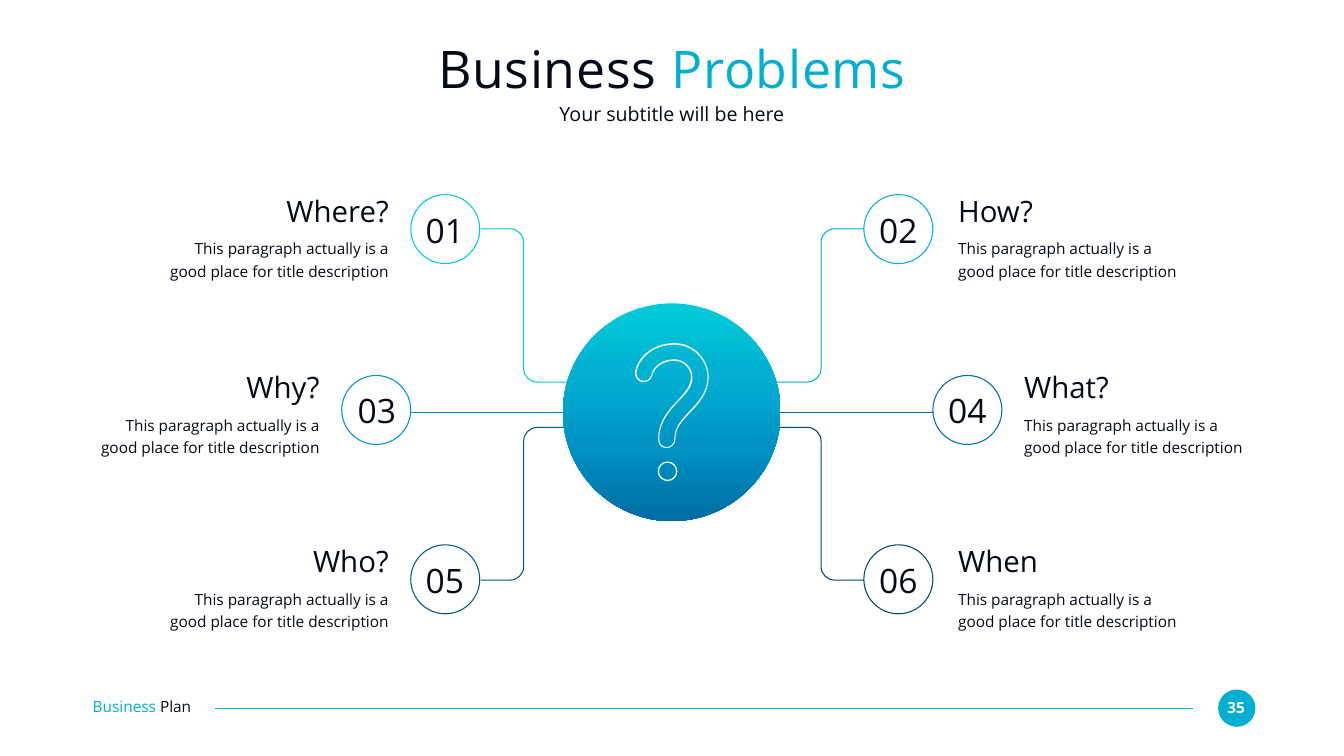
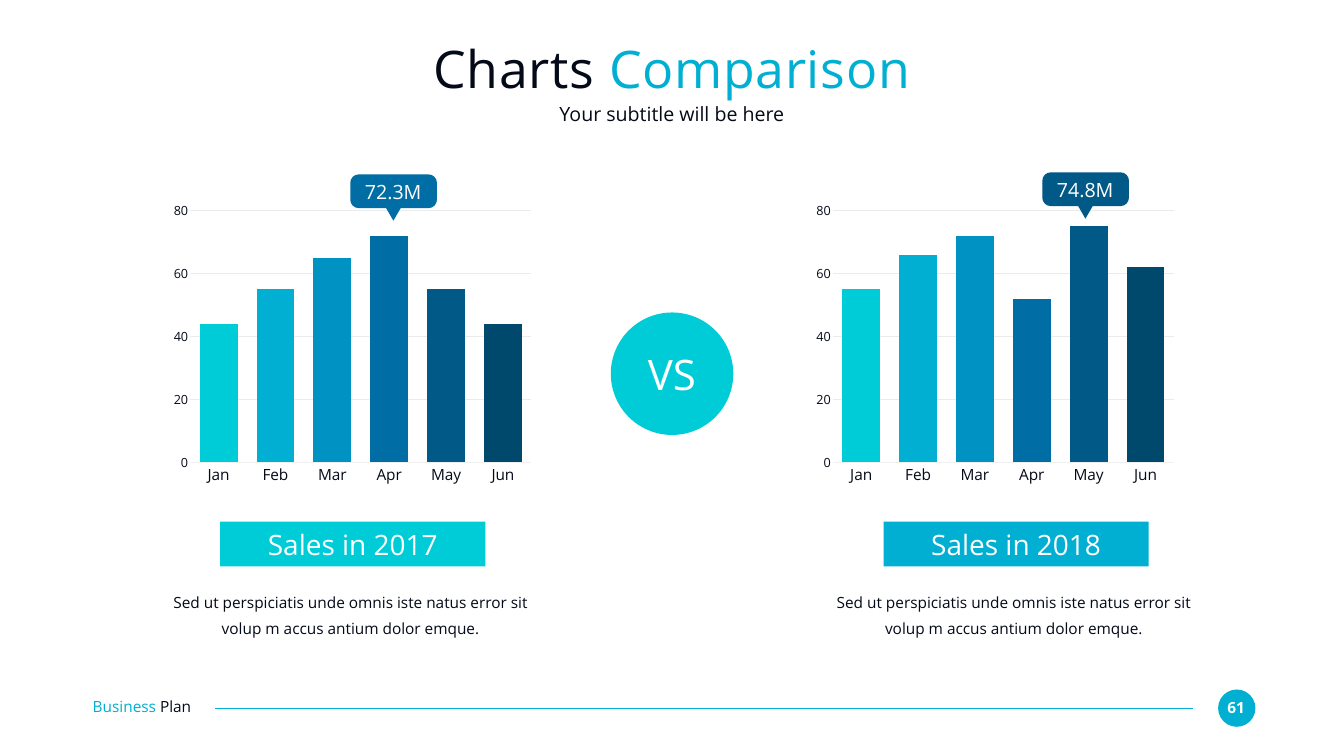
from lxml import etree
from pptx import Presentation
from pptx.chart.data import CategoryChartData
from pptx.dml.color import RGBColor
from pptx.enum import chart as charts, shapes, text
from pptx.oxml import ns
from pptx.util import Pt

INK = RGBColor(0x05, 0x0A, 0x19)
WHITE = RGBColor(0xFF, 0xFF, 0xFF)
AQUA = RGBColor(0x00, 0xCC, 0xD7)
CYAN = RGBColor(0x00, 0xAF, 0xD2)
AZURE = RGBColor(0x00, 0x92, 0xC3)
BLUE = RGBColor(0x00, 0x6D, 0xA4)
NAVY = RGBColor(0x00, 0x59, 0x86)
DEEP = RGBColor(0x00, 0x48, 0x6C)
GRID = RGBColor(0xEB, 0xEB, 0xEB)
AXIS = RGBColor(0xF0, 0xF0, 0xF0)
SHADES = [AQUA, CYAN, AZURE, BLUE, NAVY, DEEP]

LEFT, CENTER, RIGHT = text.PP_ALIGN.LEFT, text.PP_ALIGN.CENTER, text.PP_ALIGN.RIGHT
OVAL, RECT = shapes.MSO_SHAPE.OVAL, shapes.MSO_SHAPE.RECTANGLE
MIRROR = 1921

HOOK_OUTSIDE = [
    (85, 2), (53, 0, 13, 16, 2, 57), (0, 67, 6, 76, 15, 79), (19, 80, 24, 79, 28, 77),
    (32, 74, 35, 71, 36, 66), (42, 44, 64, 36, 83, 37), (100, 38, 113, 53, 113, 69),
    (113, 86, 103, 97, 87, 115), (69, 134, 48, 156, 48, 192), (48, 194),
    (48, 203, 55, 210, 65, 210), (74, 210, 82, 202, 82, 192), (82, 170, 96, 155, 112, 139),
    (129, 121, 148, 100, 148, 69), (148, 35, 120, 4, 85, 2),
]
HOOK_INSIDE = [
    (110, 137), (94, 154, 80, 169, 80, 192), (80, 201, 73, 208, 65, 208),
    (57, 208, 50, 202, 50, 194), (50, 192), (50, 157, 71, 136, 89, 116),
    (106, 99, 116, 87, 116, 69), (116, 51, 101, 36, 83, 34), (81, 34, 80, 34, 79, 34),
    (60, 34, 39, 44, 34, 66), (33, 69, 30, 73, 27, 75), (23, 76, 19, 77, 16, 76),
    (8, 74, 3, 66, 5, 58), (15, 18, 54, 3, 85, 5), (118, 7, 146, 36, 146, 69),
    (146, 99, 127, 119, 110, 137),
]


def ring(x, y, r):
    c = r * 0.55
    return [(x, y - r), (x - c, y - r, x - r, y - c, x - r, y),
            (x - r, y + c, x - c, y + r, x, y + r),
            (x + c, y + r, x + r, y + c, x + r, y),
            (x + r, y - c, x + c, y - r, x, y - r)]


class Deck:
    font = "Open Sans"

    def __init__(self):
        self.prs = Presentation()
        self.prs.slide_width, self.prs.slide_height = Pt(1920), Pt(1080)

    def new_slide(self, start, accent, number):
        self.slide = self.prs.slides.add_slide(self.prs.slide_layouts[6])
        self.shape(OVAL, 1740.2, 985, 53.3, 53.3, fill=CYAN)
        self.text(str(number), 1744.6, 997.2, 42.5, 26.6, color=WHITE, bold=True, align=CENTER)
        self.line(1704.2, 307.4, 1011.6, CYAN)
        self.text([("Business ", CYAN), ("Plan", INK)], 132.5, 996.5, 186.5, 26.6)
        self.text([(start, INK), (accent, CYAN)], 131.8, 52.6, 1656, 91.4,
                  size=74, align=CENTER, tracking=1)
        self.text("Your subtitle will be here", 131.8, 146.2, 1656, 35.3, size=28, align=CENTER)

    def text(self, runs, x, y, w, h, *, size=22, color=INK, bold=False, align=LEFT,
             spacing=None, after=None, tracking=None):
        frame = self.slide.shapes.add_textbox(Pt(x), Pt(y), Pt(w), Pt(h)).text_frame
        frame.word_wrap = True
        frame.margin_left = frame.margin_right = frame.margin_top = frame.margin_bottom = 0
        paragraph = frame.paragraphs[0]
        paragraph.alignment = align
        if spacing:
            paragraph.line_spacing = spacing
        if after:
            paragraph.space_after = Pt(after)
        for words, shade in [(runs, color)] if isinstance(runs, str) else runs:
            run = paragraph.add_run()
            run.text = words
            self.style(run.font, size, shade)
            run.font.bold = bold
            if tracking:
                run.font._element.set("spc", str(tracking * 100))

    def style(self, font, size, color=INK):
        font.name, font.size = self.font, Pt(size)
        font.color.rgb = color

    def paint(self, shape, fill, line):
        shape.shadow.inherit = False
        if fill is None:
            shape.fill.background()
        else:
            shape.fill.solid()
            shape.fill.fore_color.rgb = fill
        if line is None:
            shape.line.fill.background()
        else:
            shape.line.color.rgb = line
            shape.line.width = Pt(1.5)
        return shape

    def shape(self, kind, x, y, w, h, fill=None, line=None):
        added = self.slide.shapes.add_shape(kind, Pt(x), Pt(y), Pt(w), Pt(h))
        return self.paint(added, fill, line)

    def gradient_circle(self, x, y, size, stops):
        circle = self.shape(OVAL, x, y, size, size)
        circle.fill.gradient()
        circle.fill.gradient_angle = 270
        stop_list = circle._element.spPr.find(".//" + ns.qn("a:gsLst"))
        for stop in list(stop_list):
            stop_list.remove(stop)
        for percent, color in stops:
            stop = etree.SubElement(stop_list, ns.qn("a:gs"), pos=str(percent * 1000))
            etree.SubElement(stop, ns.qn("a:srgbClr"), val=str(color))

    def line(self, x1, x2, y, color):
        rule = self.slide.shapes.add_connector(
            shapes.MSO_CONNECTOR.STRAIGHT, Pt(x1), Pt(y), Pt(x2), Pt(y))
        rule.line.color.rgb = color
        rule.line.width = Pt(1.5)
        etree.SubElement(rule._element.spPr, ns.qn("a:effectLst"))

    def outline(self, contours, x=0, y=0, unit=1, close=False, fill=None, line=None):
        contours = [[[Pt((x, y)[i % 2] + v * unit) for i, v in enumerate(segment)]
                     for segment in contour] for contour in contours]
        builder = self.slide.shapes.build_freeform(*contours[0][0], scale=1.0)
        for index, (start, *segments) in enumerate(contours):
            if index:
                builder.move_to(*start)
            builder.add_line_segments([s[-2:] for s in segments], close=close)
        drawn = self.paint(builder.convert_to_shape(), fill, line)
        origin = drawn.left, drawn.top
        segments = [s for contour in contours for s in contour[1:]]
        sides = list(drawn._element.spPr.iter(ns.qn("a:lnTo")))
        for side, segment in zip(sides, segments):
            if len(segment) == 6:
                curve = etree.Element(ns.qn("a:cubicBezTo"))
                for i in (0, 2, 4):
                    etree.SubElement(curve, ns.qn("a:pt"), x=str(segment[i] - origin[0]),
                                     y=str(segment[i + 1] - origin[1]))
                side.getparent().replace(side, curve)

    def elbow(self, start_y, end_y, color, mirrored):
        start, bend, end, r = 686.9, 748.1, 820.1, 19.4
        down = r if end_y > start_y else -r
        path = [
            (start, start_y), (bend - r, start_y),
            (bend - r * 0.45, start_y, bend, start_y + down * 0.45, bend, start_y + down),
            (bend, end_y - down),
            (bend, end_y - down * 0.45, bend + r * 0.45, end_y, bend + r, end_y),
            (end, end_y),
        ]
        if mirrored:
            path = [tuple(MIRROR - v if i % 2 == 0 else v for i, v in enumerate(segment))
                    for segment in path]
        self.outline([path], line=color)

    def callout(self, label, x, y, color):
        right, bottom, r, middle = x + 123.8, y + 48.2, 12, x + 61.6
        c = r * 0.45
        self.outline([[
            (x + r, y), (right - r, y),
            (right - c, y, right, y + c, right, y + r),
            (right, bottom - r),
            (right, bottom - c, right - c, bottom, right - r, bottom),
            (middle + 10.4, bottom), (middle, y + 66.2), (middle - 10.4, bottom),
            (x + r, bottom),
            (x + c, bottom, x, bottom - c, x, bottom - r),
            (x, y + r),
            (x, y + c, x + c, y, x + r, y),
        ]], close=True, fill=color)
        self.text(label, x + 9.4, y + 7.9, 103.7, 33.8, size=28, color=WHITE, align=CENTER)

    def columns(self, x, y, w, h, months, values):
        data = CategoryChartData()
        data.categories = months
        data.add_series("Series 1", values)
        chart = self.slide.shapes.add_chart(
            charts.XL_CHART_TYPE.COLUMN_CLUSTERED, Pt(x), Pt(y), Pt(w), Pt(h), data).chart
        chart.has_legend = chart.has_title = False
        self.style(chart.font, 22)
        for axis, size in ((chart.category_axis, 22), (chart.value_axis, 18)):
            axis.major_tick_mark = axis.minor_tick_mark = charts.XL_TICK_MARK.NONE
            self.style(axis.tick_labels.font, size)
        chart.category_axis.format.line.color.rgb = AXIS
        chart.category_axis.format.line.width = Pt(0.75)
        scale = chart.value_axis
        scale.minimum_scale, scale.maximum_scale, scale.major_unit = 0, 80, 20
        scale.format.line.fill.background()
        scale.major_gridlines.format.line.color.rgb = GRID
        scale.major_gridlines.format.line.width = Pt(1)
        plot = chart.plots[0]
        plot.gap_width = 50
        plot.vary_by_categories = False
        series = plot.series[0]
        series.format.fill.solid()
        series.format.fill.fore_color.rgb = AQUA
        for index, color in enumerate(SHADES[1:], 1):
            fill = series.points[index].format.fill
            fill.solid()
            fill.fore_color.rgb = color


def business_problems(deck):
    deck.new_slide("Business ", "Problems", 35)
    questions = ["Where?", "How?", "Why?", "What?", "Who?", "When"]
    outer = ((586.8, 1234.1), (596.2, 1244.2), (225.4, 1368.7), 329.8)
    inner = ((488.2, 1332.7), (499, 1342.8), (131.8, 1463), 324.7)
    rows = [
        (278, 299.5, 275.8, outer, (326.9, 545.8)),
        (536.4, 556.6, 527.8, inner, None),
        (778.3, 799.9, 776.2, outer, (828.7, 610.6)),
    ]
    badge = 98.6
    for index, question in enumerate(questions):
        row, side = divmod(index, 2)
        badge_y, number_y, heading_y, (badge_xs, number_xs, text_xs, width), bend = rows[row]
        badge_x, color = badge_xs[side], SHADES[index]
        align = LEFT if side else RIGHT
        if bend:
            deck.elbow(*bend, color, mirrored=side == 1)
        else:
            ends = (badge_x, 1101.6) if side else (820.1, badge_x + badge)
            deck.line(*ends, 589, color)
        deck.shape(OVAL, badge_x, badge_y, badge, badge, line=color)
        deck.text(f"{index + 1:02}", number_xs[side], number_y, 78.5, 58.3,
                  size=48, align=CENTER)
        deck.text(question, text_xs[side], heading_y, width, 51.1, size=42, align=align)
        deck.text("This paragraph actually is a good place for title description",
                  text_xs[side], heading_y + 61.2, width, 64.1, align=align, spacing=1.2)
    deck.gradient_circle(804.2, 433.4, 311, zip((0, 33, 66, 100), SHADES))
    question_mark = [HOOK_OUTSIDE, HOOK_INSIDE, ring(66.5, 256, 19.5), ring(66.5, 256, 17)]
    deck.outline(question_mark, 905.8, 488.9, unit=0.72, close=True, fill=WHITE)


def charts_comparison(deck):
    deck.new_slide("Charts ", "Comparison", 61)
    deck.shape(OVAL, 872.6, 446.4, 175, 175, fill=AQUA)
    deck.text("VS", 907.9, 497.5, 103.7, 72.7, size=60, color=WHITE, align=CENTER)
    months = ["Jan", "Feb", "Mar", "Apr", "May", "Jun"]
    years = [
        (2017, 237.6, 314.6, AQUA, (44, 55, 65, 72, 55, 44), ("72.3M", 500.4, 249.1, BLUE)),
        (2018, 1155.6, 1262.2, CYAN, (55, 66, 72, 52, 75, 62), ("74.8M", 1489, 246.2, NAVY)),
    ]
    for year, chart_x, banner_x, color, sales, peak in years:
        deck.columns(chart_x, 280.1, 532.1, 420.5, months, sales)
        deck.shape(RECT, banner_x, 745.2, 378.7, 64.1, fill=color)
        deck.text(f"Sales in {year}", banner_x + 52.9, 753.1, 272.9, 48.2,
                  size=40, color=WHITE, align=CENTER)
        deck.callout(*peak)
        deck.text("Sed ut perspiciatis unde omnis iste natus error sit volup m accus "
                  "antium dolor emque.", banner_x - 87.8, 837.4, 547.9, 74.9,
                  align=CENTER, spacing=1.4, after=36)


def main():
    deck = Deck()
    business_problems(deck)
    charts_comparison(deck)
    deck.prs.save("out.pptx")


if __name__ == "__main__":
    main()
